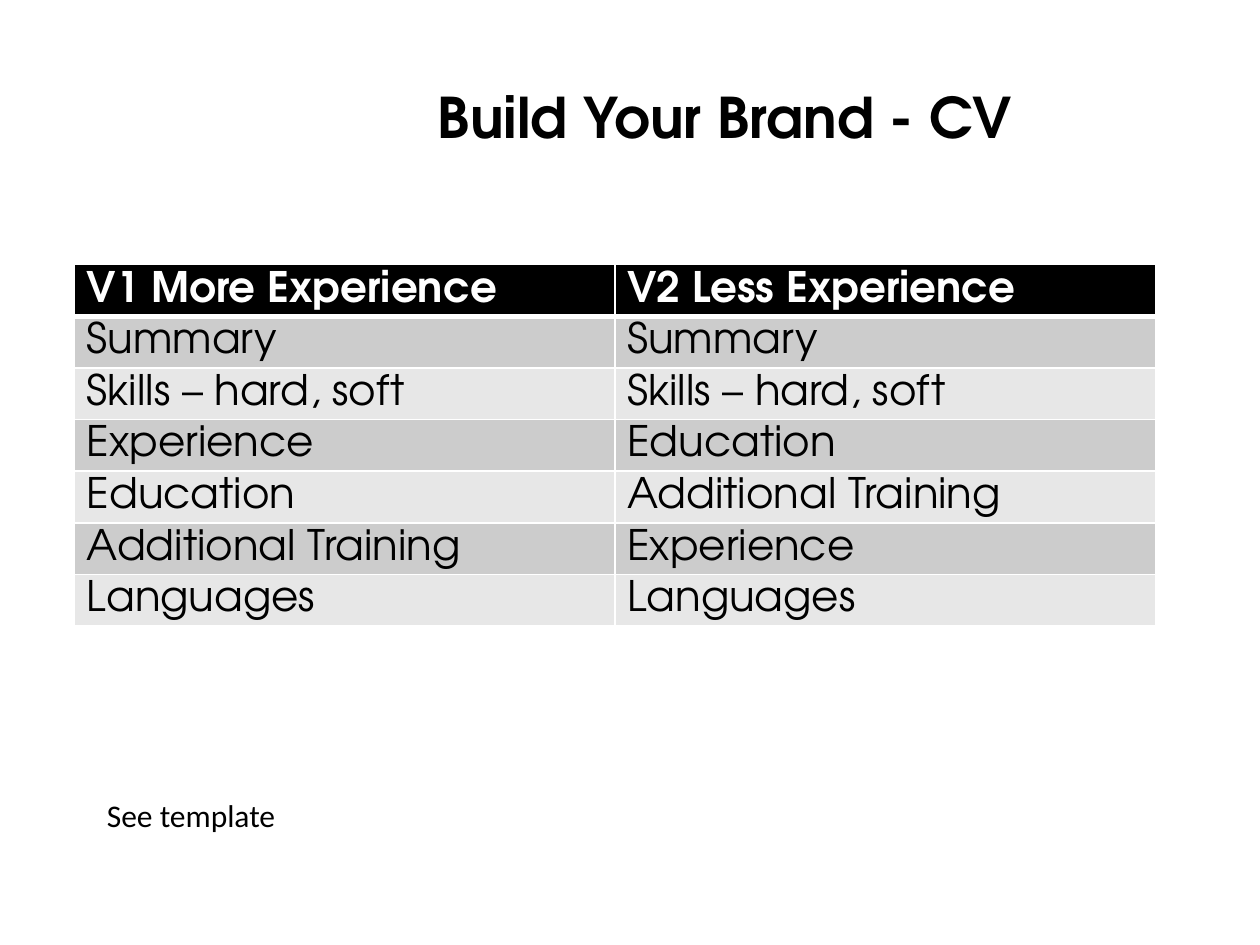
from lxml.etree import SubElement
from pptx import Presentation
from pptx.dml.color import RGBColor
from pptx.enum.text import MSO_ANCHOR, MSO_AUTO_SIZE, PP_ALIGN
from pptx.oxml.ns import qn
from pptx.util import Inches, Pt

BLACK = RGBColor(0x00, 0x00, 0x00)
WHITE = RGBColor(0xFF, 0xFF, 0xFF)
DARK_BAND = RGBColor(0xCC, 0xCC, 0xCC)
LIGHT_BAND = RGBColor(0xE7, 0xE7, 0xE7)

HEAD_FONT = "TeX Gyre Adventor"
BODY_FONT = "Calibri"

CV_ROWS = [
    ("V1 More Experience", "V2 Less Experience"),
    ("Summary", "Summary"),
    ("Skills – hard, soft", "Skills – hard, soft"),
    ("Experience", "Education"),
    ("Education", "Additional Training"),
    ("Additional Training", "Experience"),
    ("Languages", "Languages"),
]


def add_run(p, text, font, size, color, bold=False):
    r = p.add_run()
    r.text = text
    r.font.name = font
    r.font.size = Pt(size)
    r.font.bold = bold
    r.font.color.rgb = color


def set_borders(cell, bottom_width, top_width):
    tcPr = cell._tc.get_or_add_tcPr()
    widths = {"a:lnL": 1, "a:lnR": 1, "a:lnT": top_width, "a:lnB": bottom_width}
    for i, (tag, width) in enumerate(widths.items()):
        ln = SubElement(tcPr, qn(tag), w=str(Pt(width)))
        fill = SubElement(ln, qn("a:solidFill"))
        SubElement(fill, qn("a:srgbClr"), val=str(WHITE))
        tcPr.insert(i, ln)  # borders come before the cell fill


def format_title(s, left, top, width, height):
    title = s.shapes.title
    title.left, title.top, title.width, title.height = left, top, width, height
    tf = title.text_frame
    tf.vertical_anchor = MSO_ANCHOR.MIDDLE
    p = tf.paragraphs[0]
    p.alignment = PP_ALIGN.CENTER
    add_run(p, "Build Your Brand - CV", HEAD_FONT, 32, BLACK, bold=True)


def add_cv_table(s, left, top, width, height):
    n_rows, n_cols = len(CV_ROWS), len(CV_ROWS[0])
    table = s.shapes.add_table(n_rows, n_cols, left, top, width, height).table
    for i, labels in enumerate(CV_ROWS):
        header = i == 0
        band = BLACK if header else DARK_BAND if i % 2 else LIGHT_BAND
        for j, label in enumerate(labels):
            cell = table.cell(i, j)
            cell.margin_left = cell.margin_right = Inches(0.1)
            cell.margin_top = Inches(0.05)
            cell.margin_bottom = 0
            cell.vertical_anchor = MSO_ANCHOR.TOP
            cell.fill.solid()
            cell.fill.fore_color.rgb = band
            set_borders(cell, 3 if header else 1, 3 if i == 1 else 1)
            add_run(cell.text_frame.paragraphs[0], label, HEAD_FONT, 24,
                    WHITE if header else BLACK, bold=header)


def add_note(s, left, top, width, height):
    tf = s.shapes.add_textbox(left, top, width, height).text_frame
    tf.word_wrap = False
    tf.auto_size = MSO_AUTO_SIZE.SHAPE_TO_FIT_TEXT
    add_run(tf.paragraphs[0], "See template", BODY_FONT, 18, BLACK)


def main():
    prs = Presentation()
    prs.slide_width, prs.slide_height = Inches(10), Inches(7.5)
    s = prs.slides.add_slide(prs.slide_layouts[5])

    # Title
    format_title(s, Inches(2.01), Inches(0.3), Inches(7.49), Inches(1.25))
    # Two CV versions, section by section
    add_cv_table(s, Inches(0.59), Inches(2.1), Inches(8.58), Inches(0.41 * len(CV_ROWS)))
    # Note below the table
    add_note(s, Inches(0.75), Inches(6.27), Inches(1.61), Inches(0.4))

    prs.save("out.pptx")


if __name__ == "__main__":
    main()
